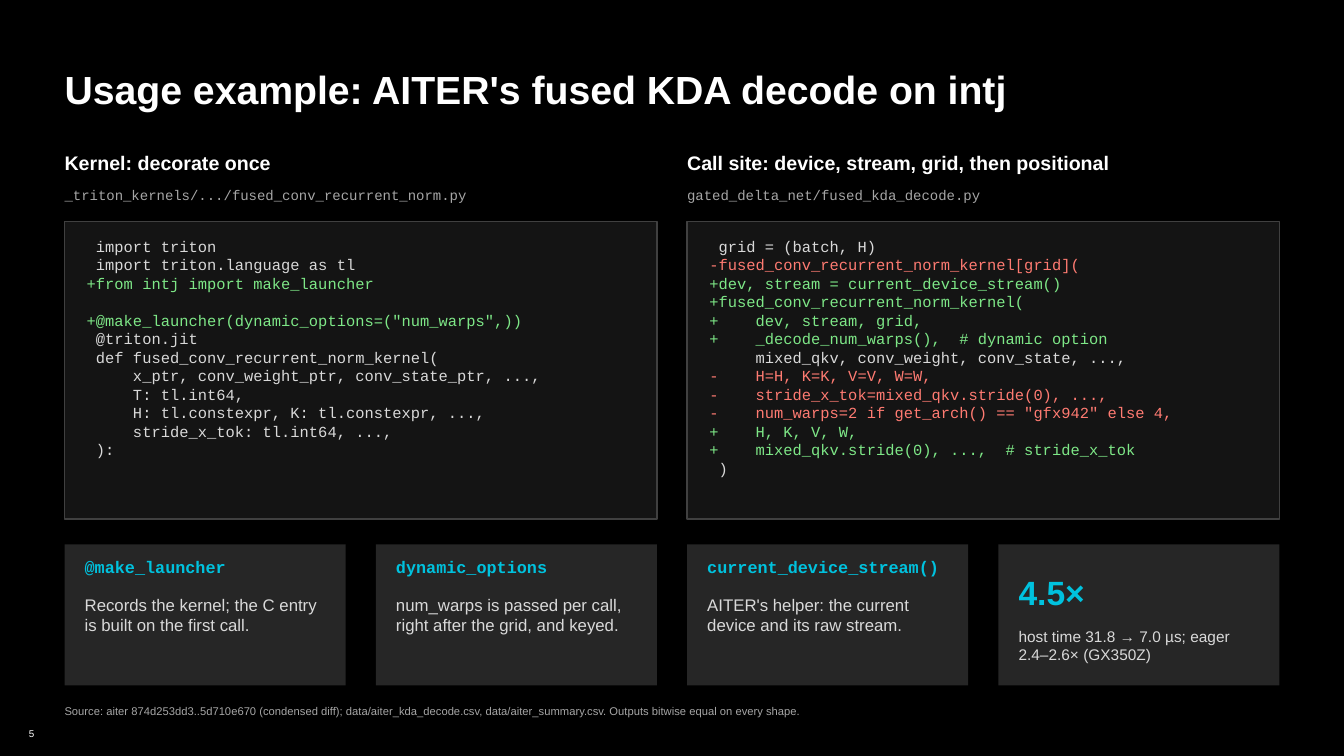
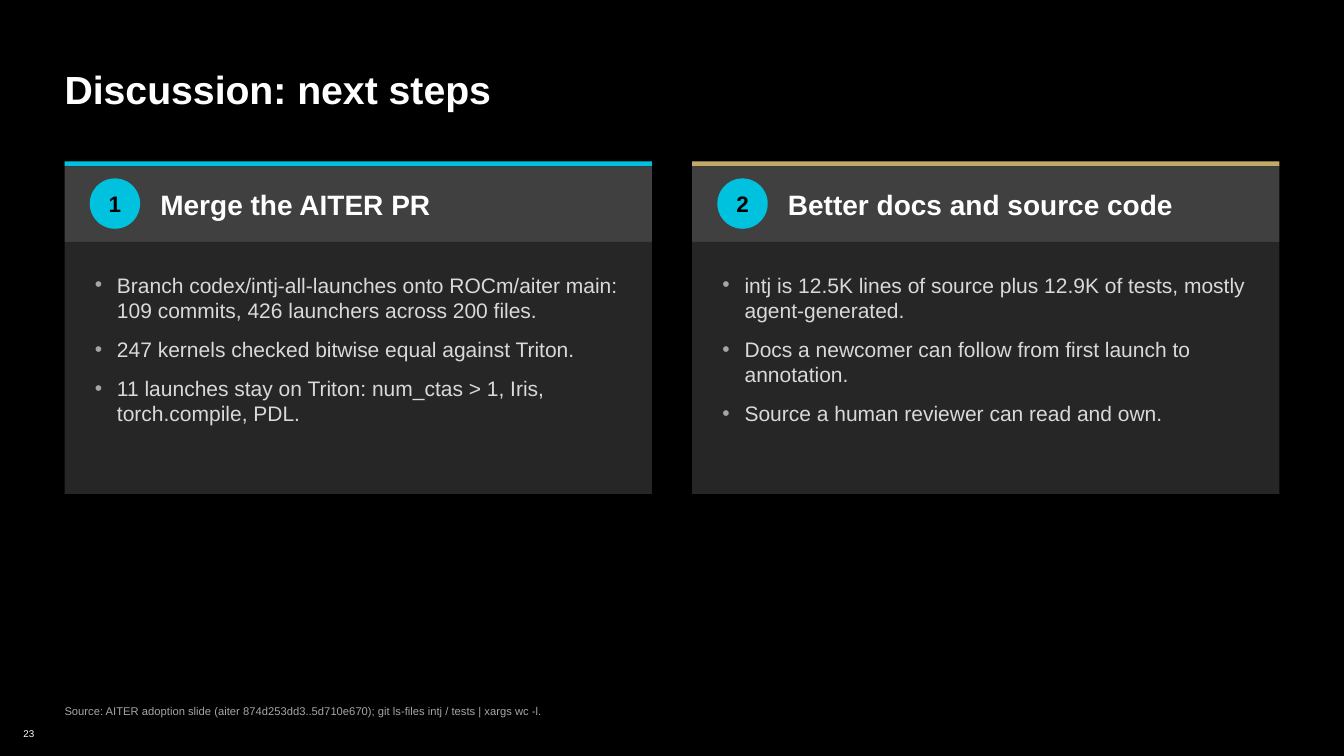
from dataclasses import dataclass

from lxml import etree
from pptx import Presentation
from pptx.dml.color import RGBColor
from pptx.enum.shapes import MSO_SHAPE
from pptx.enum.text import MSO_ANCHOR, MSO_AUTO_SIZE, PP_ALIGN
from pptx.oxml.ns import qn
from pptx.util import Inches, Pt

RECTANGLE, OVAL = MSO_SHAPE.RECTANGLE, MSO_SHAPE.OVAL
TOP, MIDDLE = MSO_ANCHOR.TOP, MSO_ANCHOR.MIDDLE
LEFT, CENTER, RIGHT = PP_ALIGN.LEFT, PP_ALIGN.CENTER, PP_ALIGN.RIGHT


@dataclass(frozen=True)
class Theme:
    sans: str = "Arial"
    mono: str = "Courier New"
    background: str = "000000"
    white: str = "FFFFFF"
    text: str = "D9D9D9"
    muted: str = "A6A6A6"
    accent: str = "00C2DE"
    gold: str = "C1A968"
    added: str = "7EE787"
    removed: str = "FF7B72"
    code_panel: str = "141414"
    card: str = "262626"
    band: str = "404040"
    title_size: float = 28
    metric_size: float = 24
    card_title_size: float = 20
    badge_size: float = 16
    list_size: float = 15
    heading_size: float = 14
    body_size: float = 12
    code_size: float = 11
    path_size: float = 10
    source_size: float = 8
    number_size: float = 7


theme = Theme()
WIDTH, HEIGHT = 13.33, 7.5
MARGIN, CONTENT = 0.64, 12.05


def write(box, lines, size, color=theme.text, font=theme.sans, bold=False,
          align=LEFT, anchor=TOP):
    """Fill a shape with one paragraph per line; color may be a function of the line."""
    frame = box.text_frame
    frame.margin_left = frame.margin_right = frame.margin_top = frame.margin_bottom = 0
    frame.word_wrap, frame.auto_size = True, MSO_AUTO_SIZE.NONE
    frame.vertical_anchor = anchor
    for index, line in enumerate(lines):
        para = frame.add_paragraph() if index else frame.paragraphs[0]
        para.alignment = align
        span = para.add_run()
        span.text = line
        span.font.name, span.font.size, span.font.bold = font, Pt(size), bold
        span.font.color.rgb = RGBColor.from_string(color(line) if callable(color) else color)


def add_box(page, left, top, width, height, fill=None, line=None, kind=RECTANGLE):
    """Add a filled shape, or a plain text box when there is no fill."""
    place = [Inches(value) for value in (left, top, width, height)]
    if fill is None:
        return page.shapes.add_textbox(*place)
    shape = page.shapes.add_shape(kind, *place)
    shape.shadow.inherit = False
    shape.fill.solid()
    shape.fill.fore_color.rgb = RGBColor.from_string(fill)
    if line:
        shape.line.color.rgb = RGBColor.from_string(line)
        shape.line.width = Pt(1)
    else:
        shape.line.fill.background()
    return shape


deck = Presentation()
deck.slide_width, deck.slide_height = Inches(WIDTH), Inches(HEIGHT)
master = deck.slide_master
master.background.fill.solid()
master.background.fill.fore_color.rgb = RGBColor.from_string(theme.background)

# Title, source line and page number
usage = deck.slides.add_slide(deck.slide_layouts.get_by_name("Title Only"))
discussion = deck.slides.add_slide(deck.slide_layouts.get_by_name("Two Content"))
for page, number, title, source in (
    (usage, "5", "Usage example: AITER's fused KDA decode on intj",
     "Source: aiter 874d253dd3..5d710e670 (condensed diff); data/aiter_kda_decode.csv, "
     "data/aiter_summary.csv. Outputs bitwise equal on every shape."),
    (discussion, "23", "Discussion: next steps",
     "Source: AITER adoption slide (aiter 874d253dd3..5d710e670); "
     "git ls-files intj / tests | xargs wc -l."),
):
    heading = page.shapes.title
    heading.left, heading.top = Inches(MARGIN), Inches(0.65)
    heading.width, heading.height = Inches(CONTENT), Inches(0.47)
    write(heading, [title], theme.title_size, theme.white, bold=True)
    write(add_box(page, MARGIN, 6.93, 10.9, 0.25), [source],
          theme.source_size, theme.muted, anchor=MIDDLE)
    write(add_box(page, 0.14, 7.17, 0.2, 0.21), [number],
          theme.number_size, theme.white, align=RIGHT, anchor=MIDDLE)

# Usage example: two code panels
GAP = 0.3
panel_width = (CONTENT - GAP) / 2
code_panels = (
    ("Kernel: decorate once", "_triton_kernels/.../fused_conv_recurrent_norm.py", """\
 import triton
 import triton.language as tl
+from intj import make_launcher
 
+@make_launcher(dynamic_options=("num_warps",))
 @triton.jit
 def fused_conv_recurrent_norm_kernel(
     x_ptr, conv_weight_ptr, conv_state_ptr, ...,
     T: tl.int64,
     H: tl.constexpr, K: tl.constexpr, ...,
     stride_x_tok: tl.int64, ...,
 ):"""),
    ("Call site: device, stream, grid, then positional",
     "gated_delta_net/fused_kda_decode.py", """\
 grid = (batch, H)
-fused_conv_recurrent_norm_kernel[grid](
+dev, stream = current_device_stream()
+fused_conv_recurrent_norm_kernel(
+    dev, stream, grid,
+    _decode_num_warps(),  # dynamic option
     mixed_qkv, conv_weight, conv_state, ...,
-    H=H, K=K, V=V, W=W,
-    stride_x_tok=mixed_qkv.stride(0), ...,
-    num_warps=2 if get_arch() == "gfx942" else 4,
+    H, K, V, W,
+    mixed_qkv.stride(0), ...,  # stride_x_tok
 )"""),
)
diff_colors = {"+": theme.added, "-": theme.removed, " ": theme.text}
for column, (heading, file_name, code) in enumerate(code_panels):
    left = MARGIN + column * (panel_width + GAP)
    write(add_box(usage, left, 1.5, panel_width, 0.35), [heading],
          theme.heading_size, theme.white, bold=True)
    write(add_box(usage, left, 1.85, panel_width, 0.28), [file_name],
          theme.path_size, theme.muted, theme.mono)
    add_box(usage, left, 2.2, panel_width, 2.95, theme.code_panel, theme.band)
    write(add_box(usage, left + 0.22, 2.35, panel_width - 0.44, 2.65), code.split("\n"),
          theme.code_size, lambda line: diff_colors[line[0]], theme.mono)

# Usage example: three notes and one metric
note_width = (CONTENT - 3 * GAP) / 4
notes = (
    ("@make_launcher", "Records the kernel; the C entry is built on the first call."),
    ("dynamic_options", "num_warps is passed per call, right after the grid, and keyed."),
    ("current_device_stream()", "AITER's helper: the current device and its raw stream."),
    ("4.5×", "host time 31.8 → 7.0 µs; eager 2.4–2.6× (GX350Z)"),
)
for column, (heading, note) in enumerate(notes):
    left = MARGIN + column * (note_width + GAP)
    inner_left, inner_width = left + 0.2, note_width - 0.4
    add_box(usage, left, 5.4, note_width, 1.4, theme.card)
    if column < 3:
        write(add_box(usage, inner_left, 5.52, inner_width, 0.32), [heading],
              theme.body_size, theme.accent, theme.mono, bold=True)
        write(add_box(usage, inner_left, 5.9, inner_width, 0.85), [note], theme.body_size)
    else:
        write(add_box(usage, inner_left, 5.52, inner_width, 0.7), [heading],
              theme.metric_size, theme.accent, bold=True, anchor=MIDDLE)
        write(add_box(usage, inner_left, 6.22, inner_width, 0.5), [note], theme.code_size)

# Discussion: two numbered cards
CARD_GAP = 0.4
card_width = (CONTENT - CARD_GAP) / 2
steps = (
    ("Merge the AITER PR", theme.accent, (
        "Branch codex/intj-all-launches onto ROCm/aiter main: "
        "109 commits, 426 launchers across 200 files.",
        "247 kernels checked bitwise equal against Triton.",
        "11 launches stay on Triton: num_ctas > 1, Iris, torch.compile, PDL.")),
    ("Better docs and source code", theme.gold, (
        "intj is 12.5K lines of source plus 12.9K of tests, mostly agent-generated.",
        "Docs a newcomer can follow from first launch to annotation.",
        "Source a human reviewer can read and own.")),
)
for column, (heading, stripe, points) in enumerate(steps):
    left = MARGIN + column * (card_width + CARD_GAP)
    add_box(discussion, left, 1.6, card_width, 0.05, stripe)
    add_box(discussion, left, 1.65, card_width, 0.75, theme.band)
    add_box(discussion, left, 2.4, card_width, 2.5, theme.card)
    badge = add_box(discussion, left + 0.25, 1.77, 0.5, 0.5, theme.accent, kind=OVAL)
    write(badge, [str(column + 1)], theme.badge_size, theme.background,
          bold=True, align=CENTER, anchor=MIDDLE)
    write(add_box(discussion, left + 0.95, 1.65, card_width - 1.2, 0.75), [heading],
          theme.card_title_size, theme.white, bold=True, anchor=MIDDLE)

    bullets = discussion.placeholders[column + 1]
    bullets.left, bullets.top = Inches(left + 0.3), Inches(2.7)
    bullets.width, bullets.height = Inches(card_width - 0.6), Inches(2.1)
    bullets.element.getparent().append(bullets.element)  # in front of the card
    write(bullets, points, theme.list_size)
    for para in bullets.text_frame.paragraphs:
        para.space_before, para.space_after = Pt(0), Pt(10)
        properties = para._p.get_or_add_pPr()
        properties.set("marL", str(Inches(0.22)))
        properties.set("indent", str(-Inches(0.22)))
        bullet_color = etree.SubElement(properties, qn("a:buClr"))
        etree.SubElement(bullet_color, qn("a:srgbClr"), val=theme.muted)
        etree.SubElement(properties, qn("a:buChar"), char="•")

deck.save("out.pptx")
